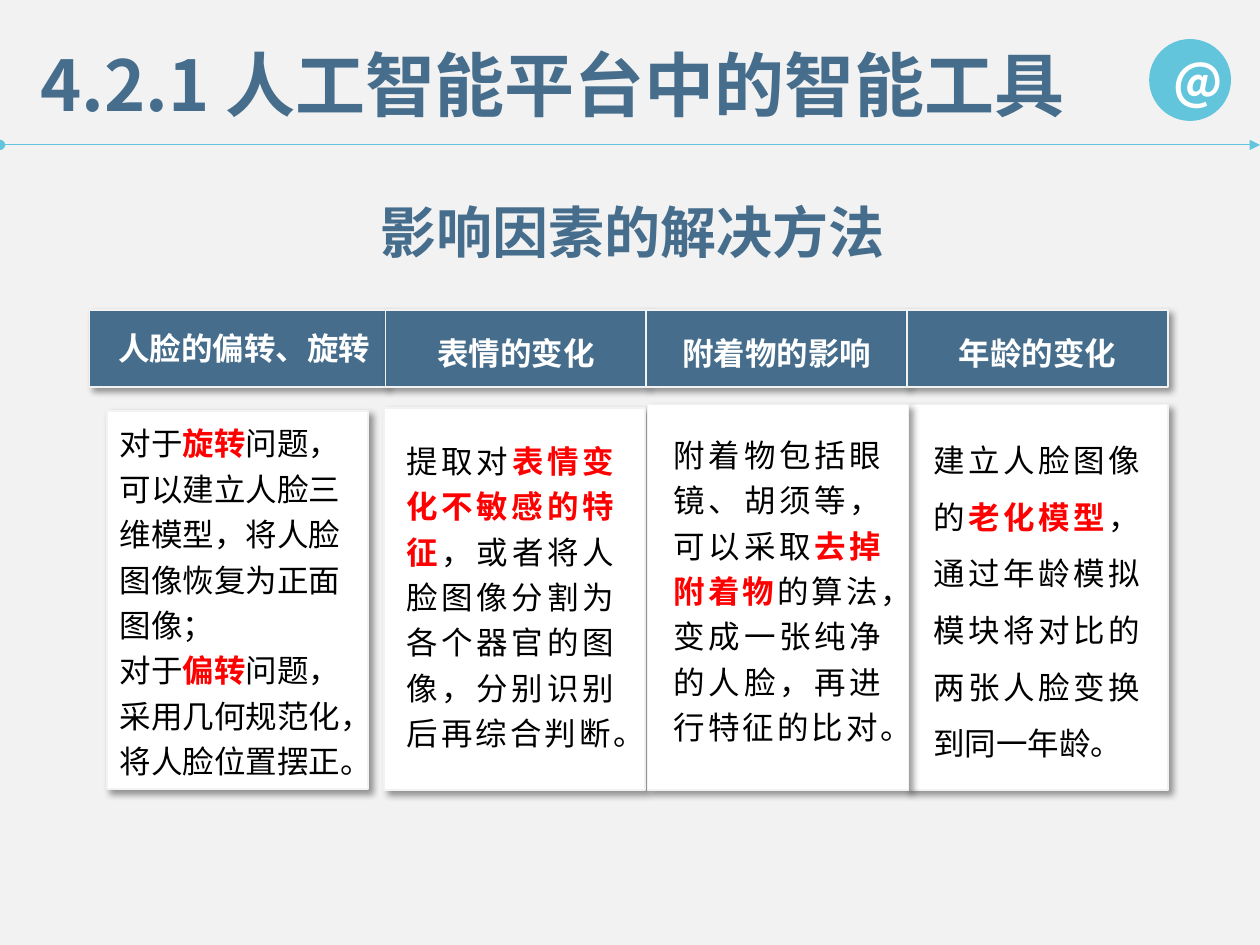
from lxml.etree import SubElement
from pptx import Presentation
from pptx.dml.color import RGBColor
from pptx.enum.shapes import MSO_CONNECTOR, MSO_SHAPE
from pptx.enum.text import MSO_ANCHOR, MSO_AUTO_SIZE, PP_ALIGN as ALIGN
from pptx.oxml.ns import qn
from pptx.util import Inches, Pt

BLUE, CYAN, PALE = "466E8C", "62C5DC", "F2F2F2"
WHITE, BLACK, RED = "FFFFFF", "000000", "FF0000"
CJK_FONT = "Noto Sans CJK SC"

HEADERS = [
    ("人脸的偏转、旋转", (0.71, 2.46, 2.35, 0.61), (0.81, 2.56, 2.26, 0.4)),
    ("表情的变化", (3.06, 2.46, 2.07, 0.61), (3.06, 2.6, 2.07, 0.4)),
    ("附着物的影响", (5.13, 2.46, 2.07, 0.61), (5.13, 2.6, 2.07, 0.4)),
    ("年龄的变化", (7.2, 2.46, 2.07, 0.61), (7.2, 2.6, 2.07, 0.4)),
]
CARDS = [
    ((7.2, 3.21, 2.07, 3.06), (7.31, 3.3, 1.84, 2.83), 1.5,
     [("建立人脸图像的", "老化模型", "，通过年龄模拟模块将对比的两张人脸变换到同一年龄。")]),
    ((0.85, 3.26, 2.07, 3), (0.85, 3.26, 1.95, 3.01), 1.2,
     [("对于", "旋转", "问题，可以建立人脸三维模型，将人脸图像恢复为正面图像；"),
      ("对于", "偏转", "问题，采用几何规范化，将人脸位置摆正。")]),
    ((3.05, 3.24, 2.07, 3.03), (3.13, 3.4, 1.84, 2.8), 1.2,
     [("提取对", "表情变化不敏感的特征",
       "，或者将人脸图像分割为各个器官的图像，分别识别后再综合判断。")]),
    ((5.14, 3.21, 2.07, 3.06), (5.25, 3.35, 1.84, 2.65), 1.2,
     [("附着物包括眼镜、胡须等，可以采取", "去掉附着物",
       "的算法，变成一张纯净的人脸，再进行特征的比对。")]),
]


def color(value):
    """Turn a hex string into a colour."""
    return RGBColor.from_string(value)


def place(box):
    """Turn a box in inches into lengths."""
    return [Inches(length) for length in box]


def add_run(paragraph, text, size=18, font=CJK_FONT, fill=BLACK, bold=False):
    """Add formatted text to a paragraph."""
    run = paragraph.add_run()
    run.text = text
    run.font.size = Pt(size)
    run.font.name = font
    run.font.bold = bold
    run.font.color.rgb = color(fill)
    SubElement(run.font._element, qn("a:ea"), typeface=CJK_FONT)


def add_text_frame(shapes, box):
    """Add a wrapping text box and return its text frame."""
    frame = shapes.add_textbox(*place(box)).text_frame
    frame.word_wrap = True
    frame.auto_size = MSO_AUTO_SIZE.SHAPE_TO_FIT_TEXT
    return frame


def add_label(shapes, box, text, align=None, **style):
    """Add a text box with one run."""
    paragraph = add_text_frame(shapes, box).paragraphs[0]
    paragraph.alignment = align
    add_run(paragraph, text, **style)


def add_panel(shapes, box, fill):
    """Add a rectangle with a pale outline and a soft shadow."""
    shape = shapes.add_shape(MSO_SHAPE.RECTANGLE, *place(box))
    shape.fill.solid()
    shape.fill.fore_color.rgb = color(fill)
    shape.line.color.rgb = color(PALE)
    shape.line.width = Pt(1)
    shape.shadow.inherit = False
    effects = shape._element.spPr.find(qn("a:effectLst"))
    shadow = SubElement(effects, qn("a:outerShdw"), blurRad=str(Pt(4)), dist=str(Pt(3)),
                        dir="2700000", algn="tl", rotWithShape="0")
    tint = SubElement(shadow, qn("a:srgbClr"), val=BLACK)
    SubElement(tint, qn("a:alpha"), val="40000")


def add_rule(shapes, left, top, width):
    """Add the line under the title, with a dot and an arrowhead."""
    rule = shapes.add_connector(MSO_CONNECTOR.STRAIGHT, *place((left, top, left + width, top)))
    rule.line.color.rgb = color(CYAN)
    rule.line.width = Pt(0.5)
    line = rule.line._get_or_add_ln()
    SubElement(line, qn("a:headEnd"), type="oval")
    SubElement(line, qn("a:tailEnd"), type="triangle")
    SubElement(rule._element.spPr, qn("a:effectLst"))


def add_badge(shapes, box):
    """Add the round badge."""
    badge = shapes.add_shape(MSO_SHAPE.OVAL, *place(box))
    badge.fill.solid()
    badge.fill.fore_color.rgb = color(CYAN)
    badge.line.fill.background()
    badge.shadow.inherit = False
    badge.text_frame.vertical_anchor = MSO_ANCHOR.MIDDLE
    paragraph = badge.text_frame.paragraphs[0]
    paragraph.alignment = ALIGN.CENTER
    add_run(paragraph, "@", size=28, fill=WHITE, bold=True)


def add_header(shapes, text, box, label_box):
    """Add one column heading."""
    add_panel(shapes, box, BLUE)
    add_label(shapes, label_box, text, ALIGN.CENTER, font="Arial", fill=WHITE, bold=True)


def add_card(shapes, box, text_box, spacing, paragraphs):
    """Add one card whose key words are red."""
    group = shapes.add_group_shape().shapes
    add_panel(group, box, WHITE)
    frame = add_text_frame(group, text_box)
    for index, (before, key, after) in enumerate(paragraphs):
        paragraph = frame.add_paragraph() if index else frame.paragraphs[0]
        paragraph.alignment = ALIGN.JUSTIFY
        paragraph.line_spacing = spacing
        add_run(paragraph, before, font="Arial")
        add_run(paragraph, key, font="Arial", fill=RED, bold=True)
        add_run(paragraph, after, font="Arial")


def main():
    """Build and save the slide."""
    presentation = Presentation()
    presentation.slide_width, presentation.slide_height = Inches(10), Inches(7.5)
    slide = presentation.slides.add_slide(presentation.slide_layouts[6])
    slide.background.fill.solid()
    slide.background.fill.fore_color.rgb = color(PALE)
    shapes = slide.shapes
    add_rule(shapes, 0, 1.15, 10)
    add_badge(shapes, (9.12, 0.31, 0.65, 0.65))
    for header in HEADERS:
        add_header(shapes, *header)
    for card in CARDS:
        add_card(shapes, *card)
    add_label(shapes, (0.22, 0.28, 10.34, 0.77), "4.2.1 人工智能平台中的智能工具",
              size=40, fill=BLUE, bold=True)
    add_label(shapes, (2.92, 1.52, 4.63, 0.64), "影响因素的解决方法",
              size=32, fill=BLUE, bold=True)
    presentation.save("out.pptx")


if __name__ == "__main__":
    main()
